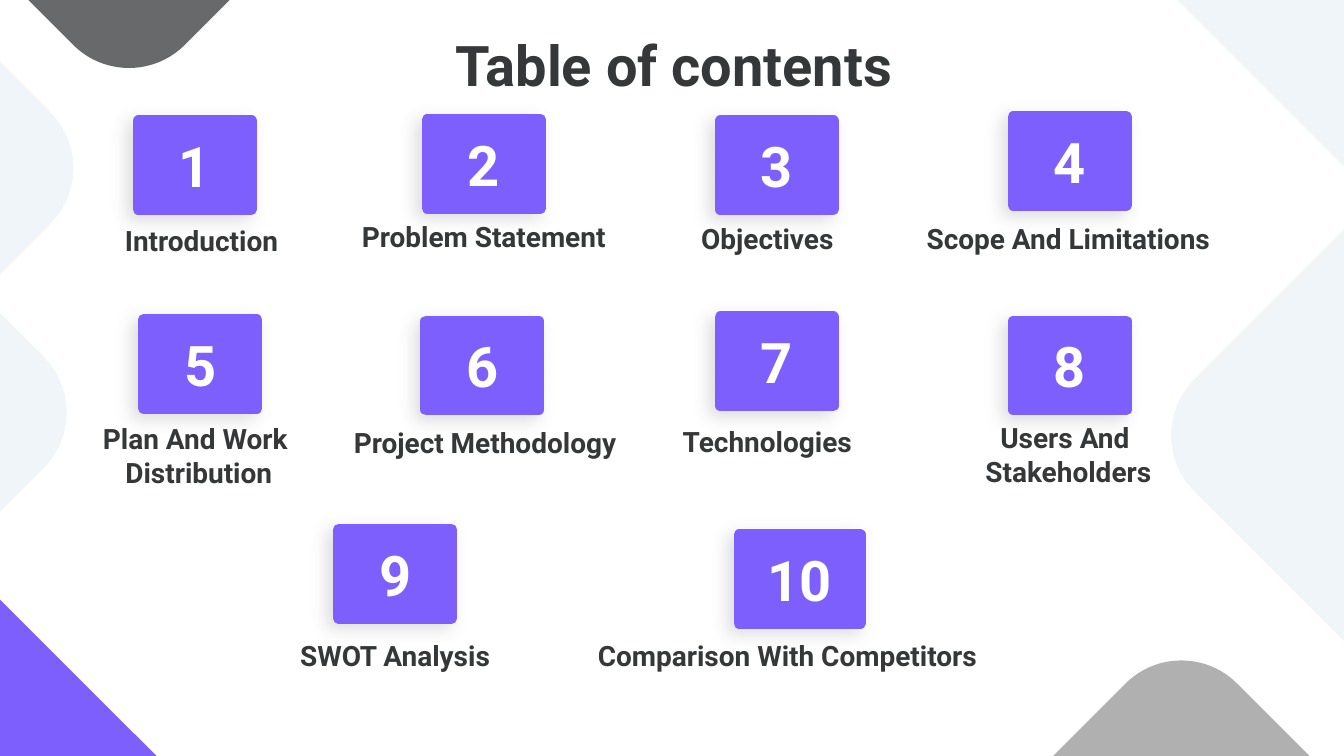
"""Build a table of contents slide with ten numbered tiles."""
from lxml import etree
from pptx import Presentation
from pptx.dml.color import RGBColor
from pptx.enum.shapes import MSO_SHAPE
from pptx.enum.text import MSO_ANCHOR, PP_ALIGN
from pptx.oxml.ns import qn
from pptx.util import Inches, Pt

RECT, ROUND = MSO_SHAPE.RECTANGLE, MSO_SHAPE.ROUNDED_RECTANGLE
TOP, MIDDLE, BOTTOM = MSO_ANCHOR.TOP, MSO_ANCHOR.MIDDLE, MSO_ANCHOR.BOTTOM
CENTER = PP_ALIGN.CENTER

VIOLET = RGBColor(0x7D, 0x5F, 0xFE)
PALE = RGBColor(0xF0, 0xF5, 0xFA)
SLATE = RGBColor(0x67, 0x69, 0x6B)
GRAY = RGBColor(0xB0, 0xB0, 0xB0)
DARK = RGBColor(0x35, 0x37, 0x38)
WHITE = RGBColor(0xFF, 0xFF, 0xFF)

FONT = "Roboto"
TITLE = "Table of contents"

# left, top, colour
DIAMONDS = [
    (8.95, -2.3, PALE),
    (-3.51, 1.31, PALE),
    (-2.34, 4.61, VIOLET),
    (-0.8, -3.5, SLATE),
    (9.2, 1.48, PALE),
    (-3.46, -0.51, PALE),
    (7.03, 5.4, GRAY),
]
SIDE = 3.52

# tile left, tile top, label centre, label bottom, label lines
TOPICS = [
    (1.03, 0.9, 1.5, 2.01, ["Introduction"]),
    (3.18, 0.89, 3.6, 1.98, ["Problem Statement"]),
    (5.36, 0.9, 5.71, 2.0, ["Objectives"]),
    (7.54, 0.87, 7.95, 2.0, ["Scope And Limitations"]),
    (1.07, 2.38, 1.48, 3.74, ["Plan And Work ", "Distribution"]),
    (3.17, 2.39, 3.61, 3.52, ["Project Methodology"]),
    (5.36, 2.36, 5.71, 3.51, ["Technologies"]),
    (7.54, 2.39, 7.95, 3.73, ["Users And ", "Stakeholders"]),
    (2.52, 3.94, 2.94, 5.1, ["SWOT Analysis"]),
    (5.5, 3.98, 5.86, 5.1, ["Comparison With Competitors"]),
]
TILE_W, WIDE_W, TILE_H = 0.84, 0.9, 0.66
LABEL_W, LABEL_H = 3.4, 0.54


def write(shape, lines, size, color, anchor):
    frame = shape.text_frame
    frame.word_wrap = True
    frame.vertical_anchor = anchor
    frame.margin_left = frame.margin_right = Inches(0.1)
    frame.margin_top = frame.margin_bottom = Inches(0.1)
    for i, line in enumerate(lines):
        para = frame.add_paragraph() if i else frame.paragraphs[0]
        para.alignment = CENTER
        run = para.add_run()
        run.text = line
        run.font.name = FONT
        run.font.size = Pt(size)
        run.font.bold = True
        run.font.color.rgb = color


def add_box(slide, box, lines, size, anchor):
    shape = slide.shapes.add_textbox(*map(Inches, box))
    write(shape, lines, size, DARK, anchor)


def add_block(slide, kind, box, color):
    shape = slide.shapes.add_shape(kind, *map(Inches, box))
    shape.shadow.inherit = False
    shape.fill.solid()
    shape.fill.fore_color.rgb = color
    shape.line.fill.background()
    return shape


def add_shade(shape):
    effects = shape.element.spPr.find(qn("a:effectLst"))
    shade = etree.SubElement(
        effects, qn("a:outerShdw"), blurRad=str(Pt(9)), dist=str(Pt(4.5)),
        dir=str(140 * 60000), algn="bl", rotWithShape="0")
    tint = etree.SubElement(shade, qn("a:srgbClr"), val=str(GRAY))
    etree.SubElement(tint, qn("a:alpha"), val="40000")


def add_tile(slide, left, top, number):
    width = WIDE_W if number > 9 else TILE_W
    tile = add_block(slide, RECT, (left, top, width, TILE_H), VIOLET)
    tile.line.color.rgb = VIOLET
    tile.line.width = Pt(6)
    etree.SubElement(tile.element.spPr.find(qn("a:ln")), qn("a:round"))
    add_shade(tile)
    write(tile, [str(number)], 30, WHITE, MIDDLE)


def main():
    deck = Presentation()
    deck.slide_width = Inches(10)
    deck.slide_height = deck.slide_width * 9 // 16
    slide = deck.slides.add_slide(deck.slide_layouts[6])

    for left, top, color in DIAMONDS:
        shape = add_block(slide, ROUND, (left, top, SIDE, SIDE), color)
        shape.rotation = 315

    add_box(slide, (0.8, 0.13, 8.43, 0.69), [TITLE], 30, TOP)
    for number, (left, top, mid, base, lines) in enumerate(TOPICS, 1):
        add_tile(slide, left, top, number)
        box = (mid - LABEL_W / 2, base - LABEL_H, LABEL_W, LABEL_H)
        add_box(slide, box, lines, 15, BOTTOM)

    deck.save("out.pptx")


if __name__ == "__main__":
    main()
